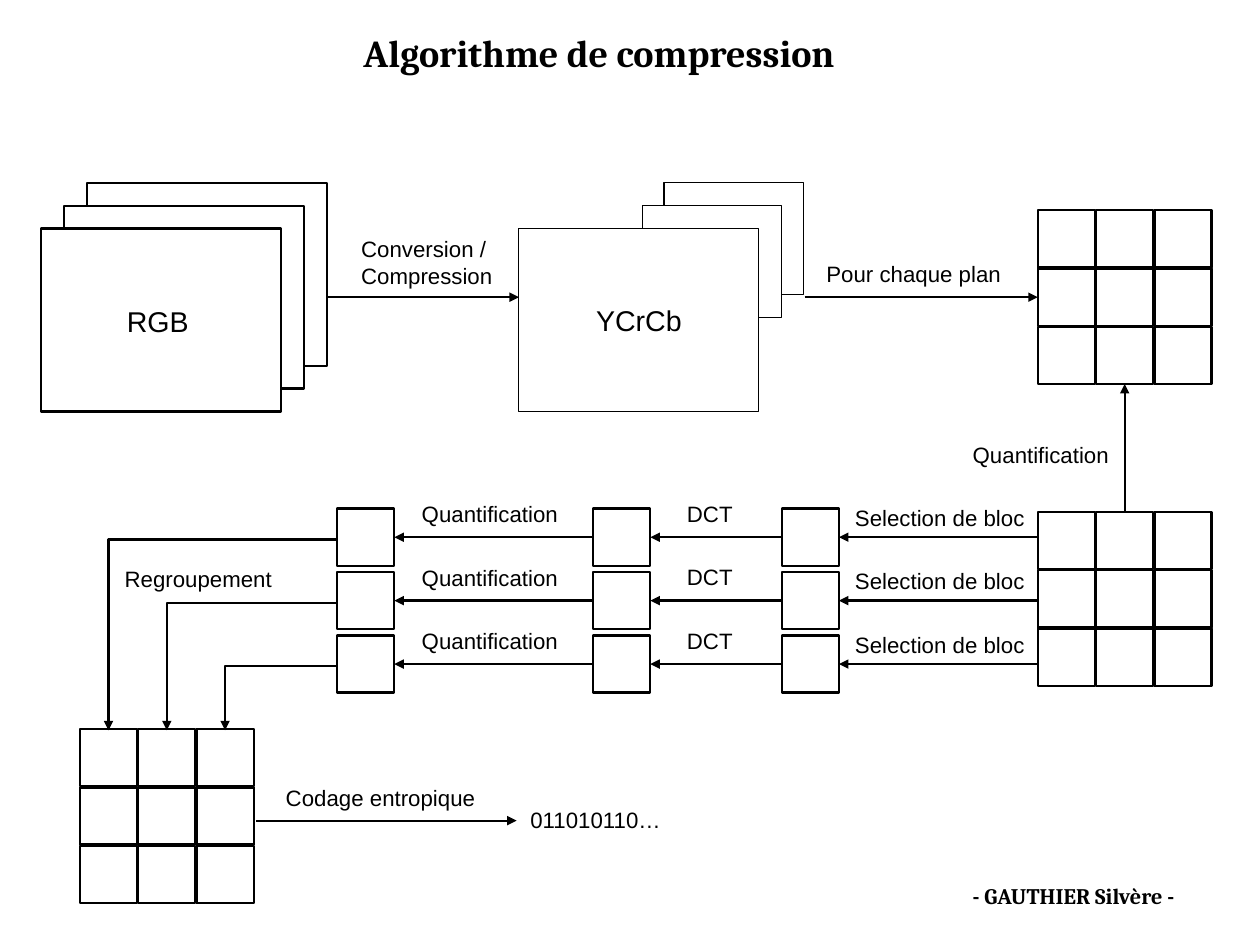
"""Build the slide that shows the steps of an image compression algorithm."""
from lxml import etree
from pptx import Presentation
from pptx.dml.color import RGBColor
from pptx.enum.shapes import MSO_CONNECTOR, MSO_SHAPE
from pptx.enum.text import MSO_ANCHOR, MSO_AUTO_SIZE, PP_ALIGN
from pptx.oxml.ns import qn
from pptx.util import Cm, Inches, Pt

RECTANGLE = MSO_SHAPE.RECTANGLE
STRAIGHT, ELBOW = MSO_CONNECTOR.STRAIGHT, MSO_CONNECTOR.ELBOW
MIDDLE, CENTER = MSO_ANCHOR.MIDDLE, PP_ALIGN.CENTER
FIT_TEXT = MSO_AUTO_SIZE.SHAPE_TO_FIT_TEXT
COLORS = {"ink": "000000", "paper": "FFFFFF"}
LINE_WIDTH = 1.45
CELL, PITCH = 5, 5.1
CARD_WIDTH, CARD_HEIGHT = 21, 16


def units(count):
    """Turn a number of grid columns or rows, ten to the inch, into a length."""
    return Inches(count / 10)


def color(name):
    return RGBColor.from_string(COLORS[name])


def add_run(paragraph, text, size, font="Arial", bold=False):
    run = paragraph.add_run()
    run.text = text
    run.font.size, run.font.name, run.font.bold = Pt(size), font, bold
    run.font.color.rgb = color("ink")


def add_box(slide, left, top, width=CELL, height=CELL, line_width=LINE_WIDTH):
    shape = slide.shapes.add_shape(RECTANGLE, *map(units, (left, top, width, height)))
    shape.shadow.inherit = False
    shape.fill.solid()
    shape.fill.fore_color.rgb = color("paper")
    shape.line.color.rgb = color("ink")
    shape.line.width = Pt(line_width)
    return shape


def add_block_grid(slide, left, top):
    for row in range(3):
        for column in range(3):
            add_box(slide, left + column * PITCH, top + row * PITCH)


def add_label(slide, left, top, width, height, lines, size=14, font="Arial", bold=False):
    shape = slide.shapes.add_textbox(*map(units, (left, top, width, height)))
    frame = shape.text_frame
    frame.word_wrap = False
    frame.auto_size = FIT_TEXT
    frame.margin_left, frame.margin_right = Inches(0.11), Inches(0.05)
    frame.margin_top = frame.margin_bottom = Inches(0.06)
    for index, text in enumerate(lines):
        paragraph = frame.add_paragraph() if index else frame.paragraphs[0]
        add_run(paragraph, text, size, font, bold)


def add_arrow(slide, start, end, kind=STRAIGHT):
    arrow = slide.shapes.add_connector(kind, *map(units, (*start, *end)))
    arrow.line.color.rgb = color("ink")
    arrow.line.width = Pt(LINE_WIDTH)
    properties = arrow._element.spPr
    outline = properties.find(qn("a:ln"))
    etree.SubElement(outline, qn("a:tailEnd"), type="triangle")
    etree.SubElement(properties, qn("a:effectLst"))
    if kind == ELBOW:
        properties.find(qn("a:prstGeom")).set("prst", "bentConnector2")


def add_rgb_stack(slide):
    for step in range(3):
        add_box(slide, 7.6 - 2 * step, 16 + 2 * step, CARD_WIDTH, CARD_HEIGHT)
    add_label(slide, 10, 26, 7.6, 4, ["RGB"], size=18)


def add_ycrcb_stack(slide):
    for left, top in ((58.1, 16), (56.2, 18)):
        add_box(slide, left, top, 12.2, 9.8, line_width=0)
    front = add_box(slide, 45.4, 20, CARD_WIDTH, CARD_HEIGHT, line_width=0)
    frame = front.text_frame
    frame.word_wrap = False
    frame.vertical_anchor = MIDDLE
    frame.paragraphs[0].alignment = CENTER
    add_run(frame.paragraphs[0], "YCrCb", 18)


def add_block_pipeline(slide, index):
    top = 44.5 + 5.55 * index
    middle = top + CELL / 2
    steps = (
        (90.8, 68.4, "Selection de bloc", 73.7, 17.1, 1),
        (68.4, 51.9, "DCT", 59, 6.2, 1.35),
        (51.9, 29.5, "Quantification", 35.8, 14.1, 1.3),
    )
    for source, target, text, left, width, rise in steps:
        add_box(slide, target, top)
        add_label(slide, left, top - rise, width, 3.4, [text])
        add_arrow(slide, (source, middle), (target + CELL, middle))
    add_arrow(slide, (29.4, middle + 0.2), (9.5 + PITCH * index, 63.9), ELBOW)


def main():
    presentation = Presentation()
    presentation.slide_width, presentation.slide_height = Cm(28), Cm(21)
    slide = presentation.slides.add_slide(presentation.slide_layouts[6])

    add_label(slide, 30.7, 2, 49.6, 5.8, ["Algorithme de compression"], 24, "Cambria", True)
    add_rgb_stack(slide)
    add_ycrcb_stack(slide)
    for left, top in ((90.8, 18.4), (90.8, 44.8), (7, 63.8)):
        add_block_grid(slide, left, top)
    for index in range(3):
        add_block_pipeline(slide, index)

    add_arrow(slide, (28.6, 26), (45.4, 26))
    add_arrow(slide, (70.4, 26), (90.8, 26))
    add_arrow(slide, (98.4, 44.8), (98.4, 33.6))
    add_arrow(slide, (22.4, 71.8), (45.2, 71.8))

    add_label(slide, 30.5, 20, 13.7, 5.6, ["Conversion /", "Compression"])
    add_label(slide, 71.2, 22.2, 17.5, 3.4, ["Pour chaque plan"])
    add_label(slide, 84, 38, 14.1, 3.4, ["Quantification"])
    add_label(slide, 9.8, 48.9, 15.1, 3.4, ["Regroupement"])
    add_label(slide, 23.9, 68, 18.8, 3.4, ["Codage entropique"])
    add_label(slide, 45.3, 69.9, 13.9, 3.4, ["011010110…"])
    add_label(slide, 84, 76.6, 24.1, 3.9, ["- GAUTHIER Silvère -"], 14, "Cambria", True)
    presentation.save("out.pptx")


if __name__ == "__main__":
    main()
